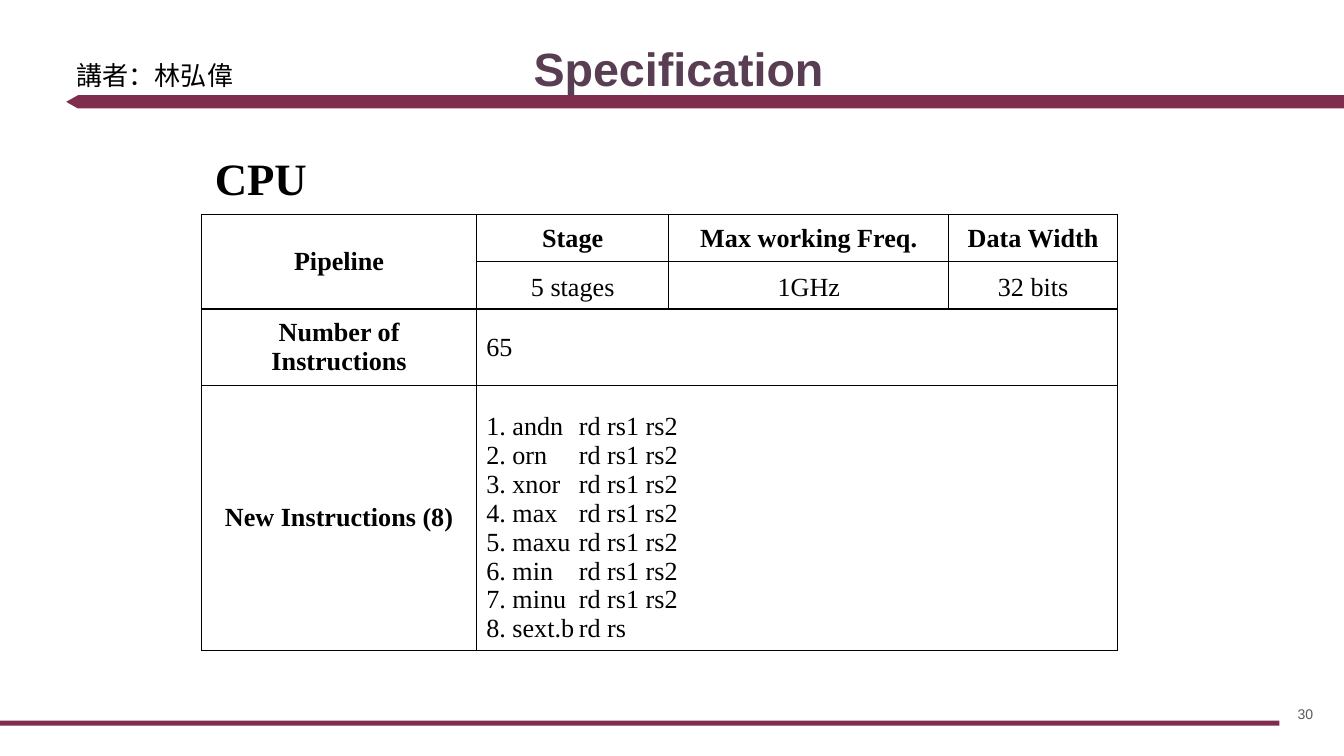
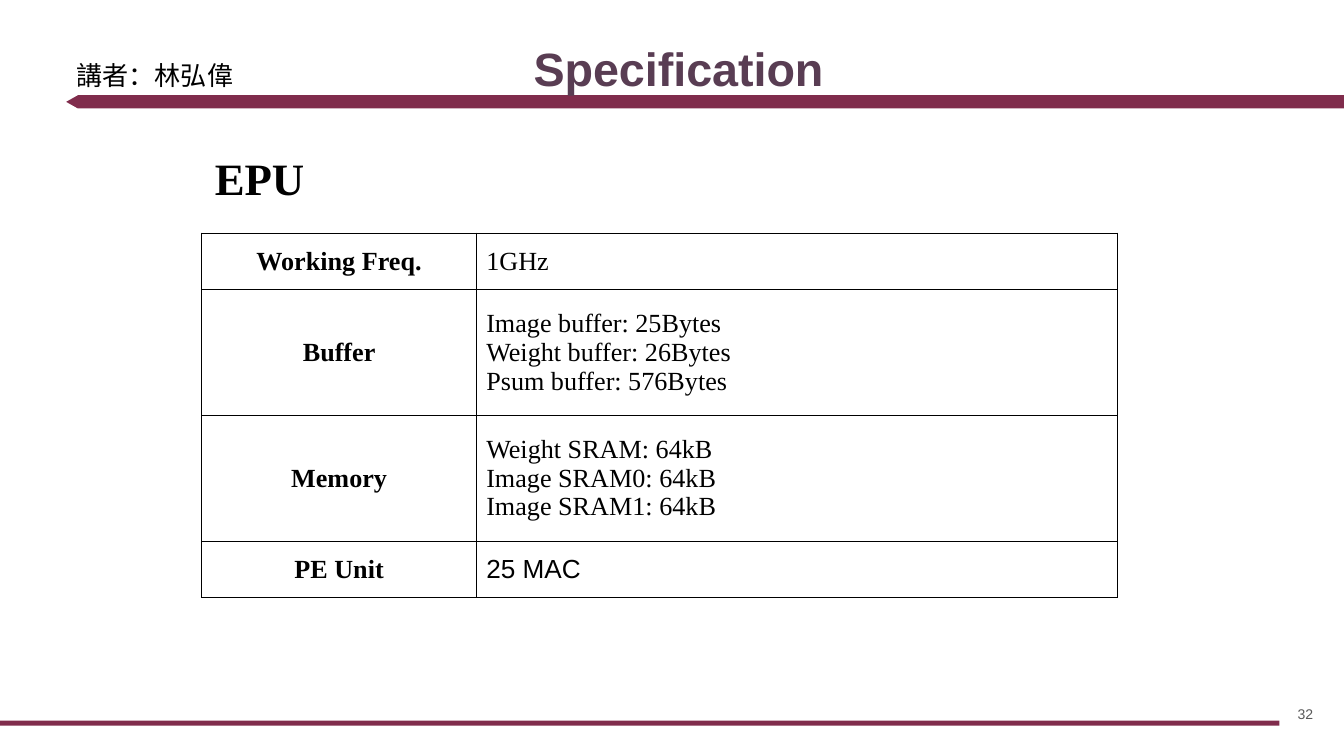
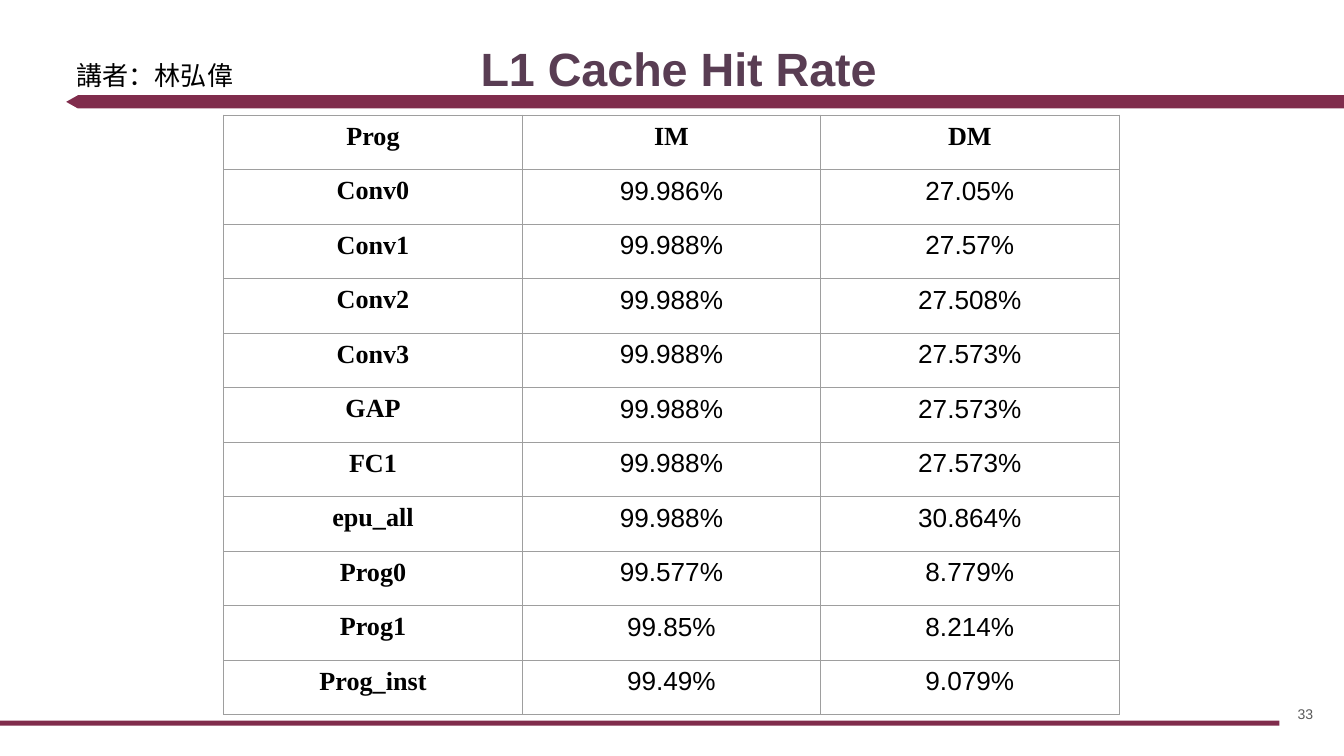
from dataclasses import dataclass
from typing import Optional

from lxml.etree import SubElement
from pptx import Presentation
from pptx.dml.color import RGBColor
from pptx.enum.shapes import MSO_SHAPE as Preset
from pptx.enum.text import MSO_ANCHOR as Anchor, PP_ALIGN as Align
from pptx.oxml.ns import qn
from pptx.util import Cm, Pt

COLORS = {
    "band": "802C4C",
    "title": "593D53",
    "number": "595959",
    "text": "000000",
    "paper": "FFFFFF",
    "grid": "000000",
    "light_grid": "9E9E9E",
}
SANS = "Arial"
SERIF = "Times New Roman"
SPEAKER = "講者：林弘偉"
TABLE_LEFT = 3.81
TAB_STOP = 1.75


@dataclass(frozen=True)
class Style:
    font: str = SANS
    size: float = 14
    color: str = "text"
    bold: bool = False
    align: Align = Align.LEFT


@dataclass(frozen=True)
class Label:
    """A text box; lengths in centimetres."""
    left: float
    top: float
    width: float
    height: float
    style: Style
    anchor: Anchor = Anchor.TOP
    inset: float = 0.13


@dataclass(frozen=True)
class Entry:
    """A table cell and the number of rows and columns it covers."""
    text: str
    style: Style
    anchor: Anchor = Anchor.MIDDLE
    rows: int = 1
    columns: int = 1


@dataclass(frozen=True)
class Grid:
    left: float
    top: float
    columns: list[float]
    rows: list[float]
    entries: list[list[Optional[Entry]]]
    line: str = "grid"
    inset: float = 0.18


HEADING = Style(SERIF, bold=True, align=Align.CENTER)
VALUE = Style(SERIF)
CENTERED_VALUE = Style(SERIF, align=Align.CENTER)
PLAIN_VALUE = Style(SANS)
RATE = Style(SANS, align=Align.CENTER)

TITLE = Label(0.99, 0.46, 23.67, 1.6, Style(SANS, 25, "title", True, Align.CENTER),
              Anchor.BOTTOM, 0.25)
NUMBER = Label(23.55, 12.95, 1.52, 1.09, Style(SANS, 7.5, "number", align=Align.RIGHT),
               Anchor.MIDDLE, 0.25)
UNIT = Label(TABLE_LEFT, 2.72, 12.7, 1.27, Style(SERIF, 24, bold=True))
SPEAKER_LABEL = Label(1.19, 0.99, 4.47, 1.45, PLAIN_VALUE)


def color(name: str) -> RGBColor:
    return RGBColor.from_string(COLORS[name])


def write(text_frame, text: str, style: Style) -> None:
    text_frame.text = text
    for paragraph in text_frame.paragraphs:
        paragraph.alignment = style.align
        if "\t" in paragraph.text:
            stops = SubElement(paragraph._p.get_or_add_pPr(), qn("a:tabLst"))
            SubElement(stops, qn("a:tab"), pos=str(Cm(TAB_STOP)), algn="l")
        for span in paragraph.runs:
            span.font.name = style.font
            span.font.size = Pt(style.size)
            span.font.bold = style.bold
            span.font.color.rgb = color(style.color)


def add_label(page, label: Label, text: str) -> None:
    box = page.shapes.add_textbox(
        Cm(label.left), Cm(label.top), Cm(label.width), Cm(label.height))
    frame = box.text_frame
    frame.word_wrap = True
    frame.vertical_anchor = label.anchor
    frame.margin_left = frame.margin_right = Cm(0.25)
    frame.margin_top = frame.margin_bottom = Cm(label.inset)
    write(frame, text, label.style)


def add_band(page, preset: Preset, left: float, top: float, width: float, height: float):
    band = page.shapes.add_shape(preset, Cm(left), Cm(top), Cm(width), Cm(height))
    band.shadow.inherit = False
    band.fill.solid()
    band.fill.fore_color.rgb = color("band")
    band.line.fill.background()
    return band


def add_borders(cell, line: str) -> None:
    properties = cell._tc.get_or_add_tcPr()
    for position, side in enumerate(("lnL", "lnR", "lnT", "lnB")):
        border = SubElement(properties, qn(f"a:{side}"), w=str(Pt(0.75)))
        fill = SubElement(border, qn("a:solidFill"))
        SubElement(fill, qn("a:srgbClr"), val=COLORS[line])
        properties.insert(position, border)


def add_grid(page, grid: Grid) -> None:
    table = page.shapes.add_table(
        len(grid.rows), len(grid.columns), Cm(grid.left), Cm(grid.top),
        Cm(sum(grid.columns)), Cm(sum(grid.rows))).table
    table.first_row = table.horz_banding = False
    for column, width in zip(table.columns, grid.columns):
        column.width = Cm(width)
    for row, height in zip(table.rows, grid.rows):
        row.height = Cm(height)
    for r, entries in enumerate(grid.entries):
        for c, entry in enumerate(entries):
            cell = table.cell(r, c)
            cell.fill.solid()
            cell.fill.fore_color.rgb = color("paper")
            add_borders(cell, grid.line)
            if entry is None:
                continue
            if entry.rows > 1 or entry.columns > 1:
                cell.merge(table.cell(r + entry.rows - 1, c + entry.columns - 1))
            cell.vertical_anchor = entry.anchor
            cell.margin_left = cell.margin_right = Cm(grid.inset)
            cell.margin_top = cell.margin_bottom = Cm(0.13)
            write(cell.text_frame, entry.text, entry.style)


def add_page(deck, title: str, number: int, grid: Grid, unit: str = "") -> None:
    page = deck.slides.add_slide(deck.slide_layouts[6])
    arrow = add_band(page, Preset.PENTAGON, 1.25, 1.8, 24.15, 0.25)
    arrow.adjustments[0] = 0.89
    arrow.rotation = 180
    add_band(page, Preset.RECTANGLE, 0, 13.62, 24.18, 0.1)
    add_label(page, TITLE, title)
    add_label(page, NUMBER, str(number))
    add_grid(page, grid)
    if unit:
        add_label(page, UNIT, unit)
    add_label(page, SPEAKER_LABEL, SPEAKER)


def cpu_grid() -> Grid:
    names = ["andn", "orn", "xnor", "max", "maxu", "min", "minu"]
    operations = [f"{name}\trd rs1 rs2" for name in names] + ["sext.b\trd rs"]
    listing = "\n".join(f"{i}. {text}" for i, text in enumerate(operations, 1))
    headings = ["Stage", "Max working Freq.", "Data Width"]
    values = ["5 stages", "1GHz", "32 bits"]
    return Grid(
        TABLE_LEFT, 4.06, [5.2, 3.63, 5.29, 3.19], [0.89, 0.89, 1.35, 4.62],
        [
            [Entry("Pipeline", HEADING, rows=2)] + [Entry(text, HEADING) for text in headings],
            [None] + [Entry(text, CENTERED_VALUE, Anchor.BOTTOM) for text in values],
            [Entry("Number of Instructions", HEADING),
             Entry("65", VALUE, columns=3), None, None],
            [Entry("New Instructions (8)", HEADING),
             Entry(listing, VALUE, Anchor.BOTTOM, columns=3), None, None],
        ])


def epu_grid() -> Grid:
    facts = [
        ("Working Freq.", "1GHz", VALUE),
        ("Buffer", "Image buffer: 25Bytes\nWeight buffer: 26Bytes\nPsum buffer: 576Bytes", VALUE),
        ("Memory", "Weight SRAM: 64kB\nImage SRAM0: 64kB\nImage SRAM1: 64kB", VALUE),
        ("PE Unit", "25 MAC", PLAIN_VALUE),
    ]
    return Grid(
        TABLE_LEFT, 4.41, [5.2, 12.11], [1.06, 2.38, 2.38, 1.06],
        [[Entry(name, HEADING), Entry(text, style)] for name, text, style in facts])


def cache_grid() -> Grid:
    rates = [
        ("Conv0", "99.986%", "27.05%"),
        ("Conv1", "99.988%", "27.57%"),
        ("Conv2", "99.988%", "27.508%"),
        ("Conv3", "99.988%", "27.573%"),
        ("GAP", "99.988%", "27.573%"),
        ("FC1", "99.988%", "27.573%"),
        ("epu_all", "99.988%", "30.864%"),
        ("Prog0", "99.577%", "8.779%"),
        ("Prog1", "99.85%", "8.214%"),
        ("Prog_inst", "99.49%", "9.079%"),
    ]
    entries = [[Entry(text, HEADING, Anchor.TOP) for text in ("Prog", "IM", "DM")]]
    for program, *values in rates:
        entries.append([Entry(program, HEADING, Anchor.TOP)]
                       + [Entry(value, RATE, Anchor.TOP) for value in values])
    return Grid(4.23, 2.18, [5.64] * 3, [1.03] * len(entries), entries, "light_grid", 0.25)


def main() -> None:
    deck = Presentation()
    deck.slide_width, deck.slide_height = Cm(25.4), Cm(14.29)
    add_page(deck, "Specification", 30, cpu_grid(), "CPU")
    add_page(deck, "Specification", 32, epu_grid(), "EPU")
    add_page(deck, "L1 Cache Hit Rate", 33, cache_grid())
    deck.save("out.pptx")


if __name__ == "__main__":
    main()
